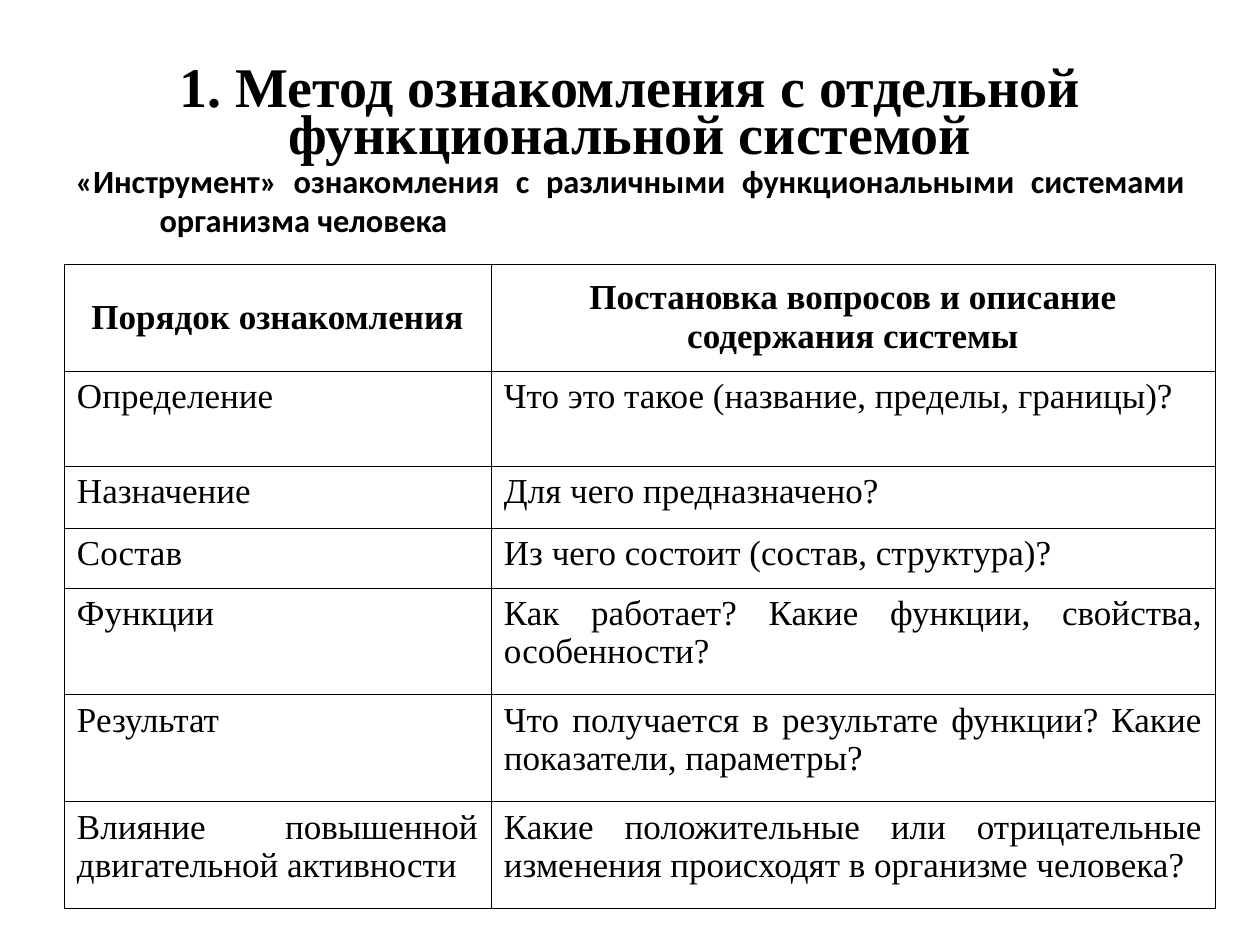
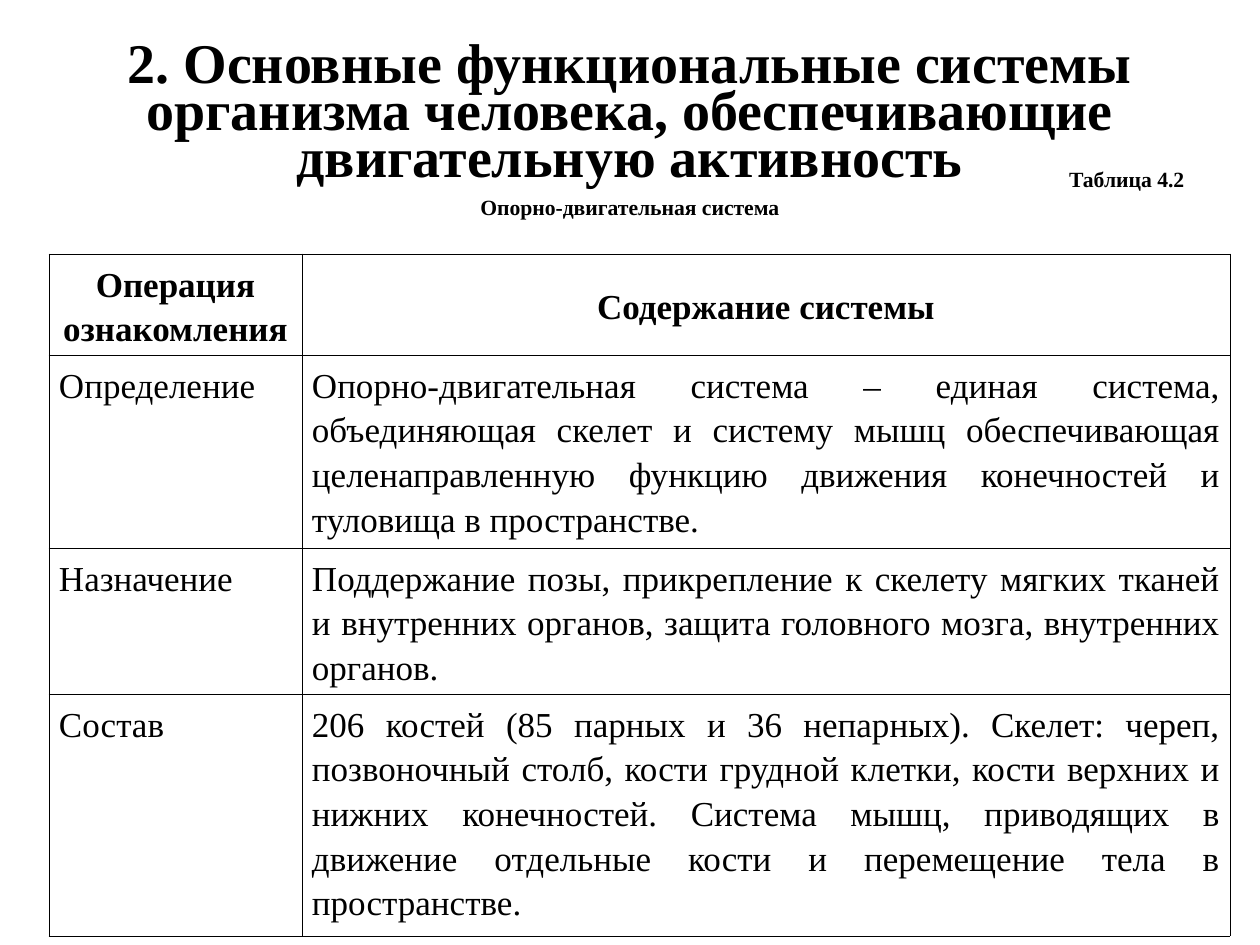
import pptx
import pptx.util
import pptx.dml.color
import pptx.enum.text
import pptx.oxml
import pptx.oxml.ns
from dataclasses import dataclass

PX = 914400 / 126  # EMU in one px
ALIGN = pptx.enum.text.PP_ALIGN
ANCHOR = pptx.enum.text.MSO_ANCHOR


@dataclass(frozen=True)
class Theme:
    ink: str = "000000"
    serif: str = "Times New Roman"
    sans: str = "Calibri"
    title_pt: float = 32
    lead_pt: float = 18.5
    caption_pt: float = 12.4
    cell_pt: float = 20
    border_pt: float = 0.45


theme = Theme()


def px(n):
    return pptx.util.Emu(round(n * PX))


def write(p, text, size, align, font=theme.serif, bold=True, spacing=1.0):
    p.alignment = align
    p.line_spacing = spacing
    p.space_before = p.space_after = pptx.util.Pt(0)
    r = p.add_run()
    r.text = text
    r.font.name = font
    r.font.size = pptx.util.Pt(size)
    r.font.bold = bold
    r.font.color.rgb = pptx.dml.color.RGBColor.from_string(theme.ink)


# Slide content
slides = [
    dict(
        title="1. Метод ознакомления с отдельной функциональной системой",
        body=(63, 155, 1134, 93), indent=84, body_font=theme.sans,
        body_pt=theme.lead_pt, body_spacing=1.0, gap=5,
        paragraphs=[
            ("«Инструмент» ознакомления с различными функциональными системами "
             "организма человека", ALIGN.JUSTIFY),
        ],
        origin=(64, 264), cols=(427, 724), heights=(107, 95, 62, 60, 107, 107, 107),
        cell_inset=13, cell_spacing=1.0,
        rows=[
            ("Порядок ознакомления", "Постановка вопросов и описание содержания системы"),
            ("Определение", "Что это такое (название, пределы, границы)?"),
            ("Назначение", "Для чего предназначено?"),
            ("Состав", "Из чего состоит (состав, структура)?"),
            ("Функции", "Как работает? Какие функции, свойства, особенности?"),
            ("Результат", "Что получается в результате функции? Какие показатели, параметры?"),
            ("Влияние повышенной двигательной активности",
             "Какие положительные или отрицательные изменения происходят в организме человека?"),
        ],
    ),
    dict(
        title="2. Основные функциональные системы организма человека, "
              "обеспечивающие двигательную активность",
        body=(63, 165, 1134, 69), indent=48, body_font=theme.serif,
        body_pt=theme.caption_pt, body_spacing=0.8, gap=4,
        paragraphs=[
            ("Таблица 4.2", ALIGN.RIGHT),
            ("Опорно-двигательная система", ALIGN.CENTER),
        ],
        origin=(49, 254), cols=(253, 928), heights=(98, 193, 145, 242),
        cell_inset=10, cell_spacing=1.15,
        rows=[
            ("Операция ознакомления", "Содержание системы"),
            ("Определение",
             "Опорно-двигательная система – единая система, объединяющая скелет и систему "
             "мышц обеспечивающая целенаправленную функцию движения конечностей и туловища "
             "в пространстве."),
            ("Назначение",
             "Поддержание позы, прикрепление к скелету мягких тканей и внутренних органов, "
             "защита головного мозга, внутренних органов."),
            ("Состав",
             "206 костей (85 парных и 36 непарных). Скелет: череп, позвоночный столб, кости "
             "грудной клетки, кости верхних и нижних конечностей. Система мышц, приводящих "
             "в движение отдельные кости и перемещение тела в пространстве."),
        ],
    ),
]

prs = pptx.Presentation()
prs.slide_width, prs.slide_height = px(1260), px(945)

for data in slides:
    s = prs.slides.add_slide(prs.slide_layouts[1])

    # Title
    sp = s.shapes.title
    sp.left, sp.top, sp.width, sp.height = map(px, (63, 38, 1134, 157))
    tf = sp.text_frame
    tf.auto_size = pptx.enum.text.MSO_AUTO_SIZE.NONE
    tf.vertical_anchor = ANCHOR.MIDDLE
    write(tf.paragraphs[0], data["title"], theme.title_pt, ALIGN.CENTER, spacing=0.7)

    # Lead text above the table, with a hanging indent and no bullets
    sp = s.placeholders[1]
    sp.left, sp.top, sp.width, sp.height = map(px, data["body"])
    tf = sp.text_frame
    tf.auto_size = pptx.enum.text.MSO_AUTO_SIZE.NONE
    for i, (text, align) in enumerate(data["paragraphs"]):
        p = tf.add_paragraph() if i else tf.paragraphs[0]
        pPr = p._p.get_or_add_pPr()
        pPr.set("marL", str(px(data["indent"])))
        pPr.set("indent", str(-px(data["indent"])))
        pPr.append(pptx.oxml.parse_xml(f"<a:buNone {pptx.oxml.ns.nsdecls('a')}/>"))
        write(p, text, data["body_pt"], align, data["body_font"],
              spacing=data["body_spacing"])
        if i:
            p.space_before = pptx.util.Pt(data["gap"])

    # Table
    left, top = data["origin"]
    cols, heights = data["cols"], data["heights"]
    tbl = s.shapes.add_table(len(heights), len(cols), px(left), px(top),
                             px(sum(cols)), px(sum(heights))).table
    tbl.first_row = tbl.horz_banding = False
    for col, width in zip(tbl.columns, cols):
        col.width = px(width)
    for i, (row, height, texts) in enumerate(zip(tbl.rows, heights, data["rows"])):
        row.height = px(height)
        header = i == 0
        for cell, text in zip(row.cells, texts):
            cell.margin_left = cell.margin_right = px(data["cell_inset"])
            cell.margin_top = cell.margin_bottom = px(6)
            cell.vertical_anchor = ANCHOR.MIDDLE if header else ANCHOR.TOP
            write(cell.text_frame.paragraphs[0], text, theme.cell_pt,
                  ALIGN.CENTER if header else ALIGN.JUSTIFY,
                  bold=header, spacing=data["cell_spacing"])
            # Borders come before the fill in the cell properties
            tcPr = cell._tc.get_or_add_tcPr()
            for side in ("lnL", "lnR", "lnT", "lnB"):
                tcPr.append(pptx.oxml.parse_xml(
                    f"<a:{side} {pptx.oxml.ns.nsdecls('a')} "
                    f'w="{pptx.util.Pt(theme.border_pt)}"><a:solidFill>'
                    f'<a:srgbClr val="{theme.ink}"/></a:solidFill></a:{side}>'))
            cell.fill.background()

prs.save("out.pptx")
